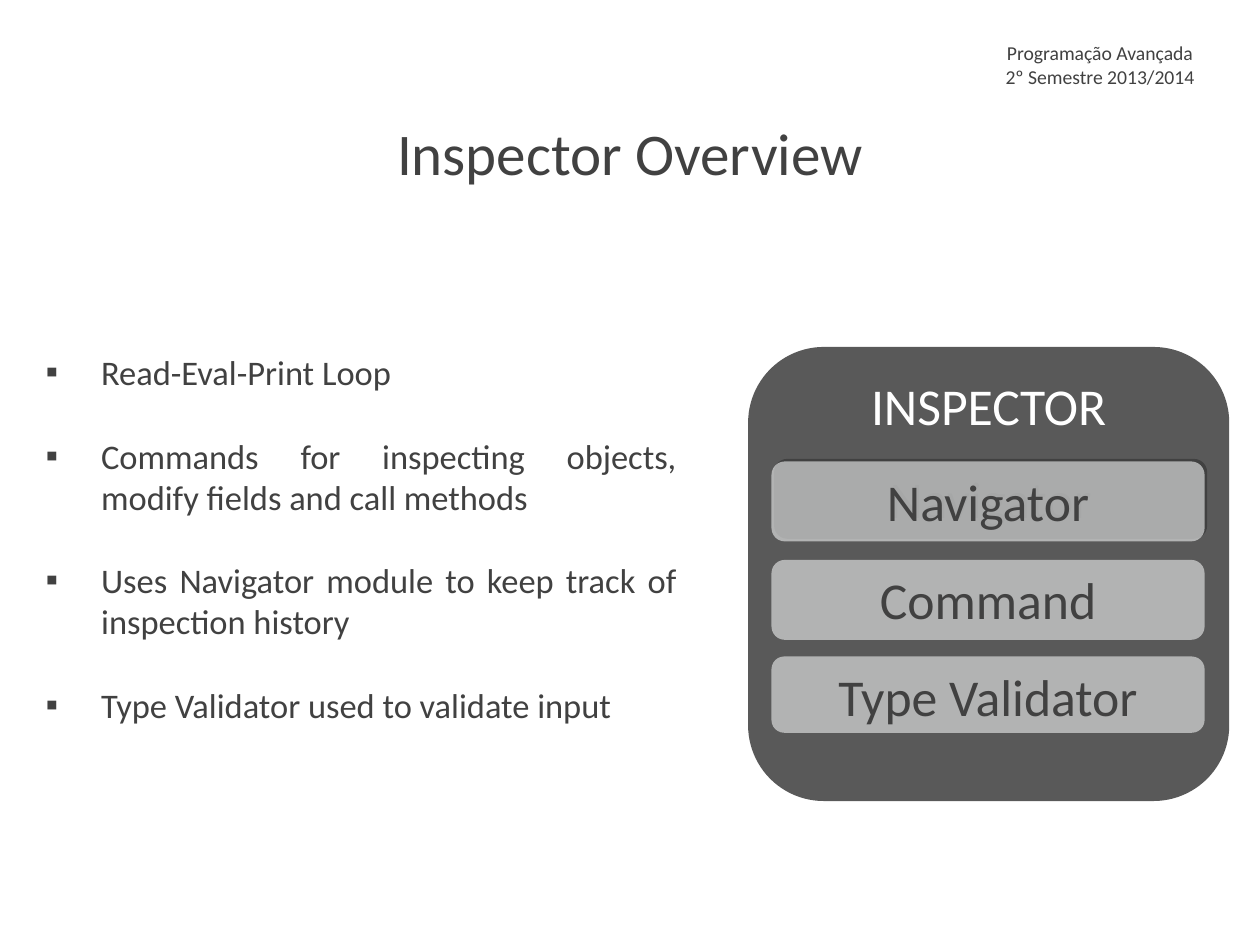
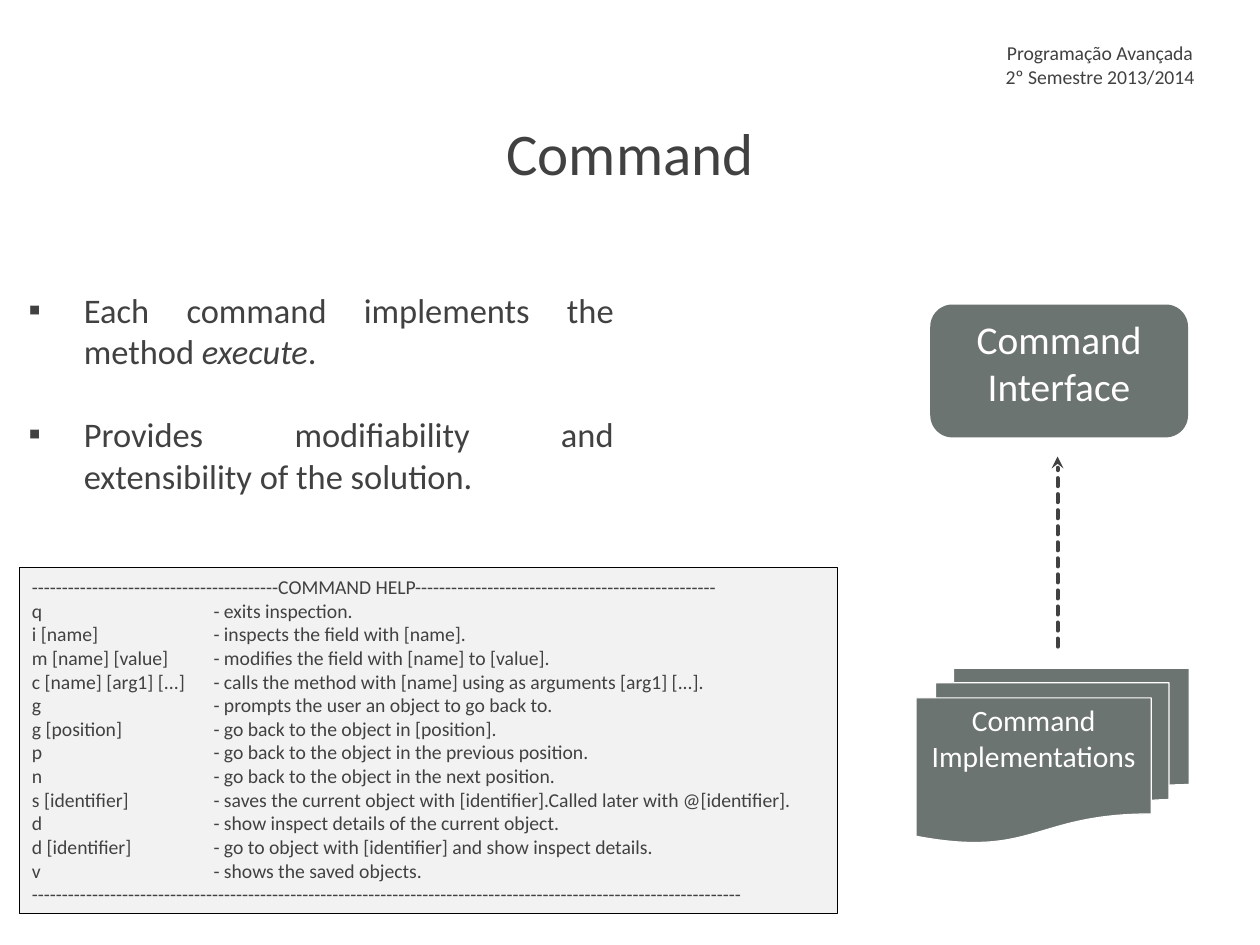
from dataclasses import dataclass
from typing import Any, NamedTuple

from lxml.etree import SubElement as Sub
from pptx import Presentation
from pptx.dml.color import RGBColor as Rgb
from pptx.enum.dml import MSO_LINE as Dash
from pptx.enum.shapes import MSO_CONNECTOR as Conn, MSO_SHAPE as Kind
from pptx.enum.text import MSO_ANCHOR as Anchor, MSO_AUTO_SIZE as Auto, PP_ALIGN as Align
from pptx.oxml.ns import qn
from pptx.util import Pt

FONT = "Calibri"
INK, WHITE, BLACK = "414141", "FFFFFF", "000000"
PANEL, CARD, SLATE, PALE = "595959", "E1E3E3", "6C7472", "F2F2F2"
WIDE, HIGH = 1024, 768
HEAD = ("Programação Avançada", "2º Semestre 2013/2014")


class Box(NamedTuple):
    x: float
    y: float
    w: float
    h: float


class Bit(NamedTuple):
    text: str
    slant: bool = False


@dataclass(frozen=True)
class Tile:
    text: str
    box: Box
    fill: str
    ink: str
    size: float
    kind: Any = Kind.ROUNDED_RECTANGLE
    edge: str = ""
    clear: int = 0
    shade: bool = False


HELP = (
    ("q", "exits inspection."),
    ("i [name]", "inspects the field with [name]."),
    ("m [name] [value]", "modifies the field with [name] to [value]."),
    ("c [name] [arg1] [...]",
     "calls the method with [name] using as arguments [arg1] [...]."),
    ("g", "prompts the user an object to go back to."),
    ("g [position]", "go back to the object in [position]."),
    ("p", "go back to the object in the previous position."),
    ("n", "go back to the object in the next position."),
    ("s [identifier]",
     "saves the current object with [identifier].Called later with @[identifier]."),
    ("d", "show inspect details of the current object."),
    ("d [identifier]", "go to object with [identifier] and show inspect details."),
    ("v", "shows the saved objects."),
)


def paint(part: Any, tone: str) -> None:
    """Give a fill or a line's fill one solid colour."""
    part.solid()
    part.fore_color.rgb = Rgb.from_string(tone)


def place(shape: Any, box: Box) -> None:
    shape.left, shape.top, shape.width, shape.height = map(Pt, box)


def frame(shape: Any, anchor: Any, side: float = 7.2, top: float = 3.6) -> Any:
    """Set up a shape's text frame and return it."""
    text = shape.text_frame
    text.word_wrap = True
    text.auto_size = Auto.NONE
    text.vertical_anchor = anchor
    text.margin_left = text.margin_right = Pt(side)
    text.margin_top = text.margin_bottom = Pt(top)
    return text


def line(text: Any, first: bool, align: Any) -> Any:
    para = text.paragraphs[0] if first else text.add_paragraph()
    para.alignment = align
    return para


def write(para: Any, words: str, size: float, ink: str = INK, slant: bool = False) -> None:
    run = para.add_run()
    run.text = words
    run.font.name = FONT
    run.font.size = Pt(size)
    run.font.color.rgb = Rgb.from_string(ink)
    if slant:
        run.font.italic = True


def start(deck: Any, title: str) -> Any:
    """Add a slide with its title and the course header."""
    slide = deck.slides.add_slide(deck.slide_layouts[1])
    place(slide.shapes.title, Box(0, 92, WIDE, 64))
    text = frame(slide.shapes.title, Anchor.BOTTOM, 4, 4)
    write(line(text, True, Align.CENTER), title, 48)
    head = slide.shapes.add_textbox(*map(Pt, Box(794, 24, 200, 51.5)))
    text = frame(head, Anchor.BOTTOM, 4, 4)
    for i, words in enumerate(HEAD):
        write(line(text, i == 0, Align.CENTER), words, 16)
    return slide


def points(slide: Any, box: Box, items: list[list[Bit]]) -> None:
    """Fill the body placeholder with square-bulleted items."""
    body = slide.placeholders[1]
    place(body, box)
    text = frame(body, Anchor.TOP)
    for i, bits in enumerate(items):
        para = line(text, i == 0, Align.JUSTIFY)
        prop = para._p.get_or_add_pPr()
        prop.set("marL", str(Pt(45)))
        prop.set("indent", str(Pt(-45)))
        Sub(prop, qn("a:buFont")).set("typeface", FONT)
        Sub(prop, qn("a:buChar")).set("char", "▪")
        para.space_before = Pt(34 if i else 0)
        for bit in bits:
            write(para, bit.text, 28, slant=bit.slant)


def draw(shapes: Any, tile: Tile) -> Any:
    shape = shapes.add_shape(tile.kind, *map(Pt, tile.box))
    shape.shadow.inherit = False
    paint(shape.fill, tile.fill)
    if tile.clear:
        tone = shape.fill._xPr.find(qn("a:solidFill"))[0]
        Sub(tone, qn("a:alpha")).set("val", str(tile.clear * 1000))
    if tile.edge:
        paint(shape.line.fill, tile.edge)
        shape.line.width = Pt(1)
    else:
        shape.line.fill.background()
    if tile.shade:
        cast(shape)
    text = frame(shape, Anchor.TOP)
    if tile.text:
        write(line(text, True, Align.CENTER), tile.text, tile.size, tile.ink)
    return shape


def cast(shape: Any) -> None:
    """Add a hard, faint shadow up and to the right."""
    drop = Sub(shape._element.spPr.find(qn("a:effectLst")), qn("a:outerShdw"))
    for key, val in (("blurRad", 0), ("dist", Pt(3)), ("dir", 315 * 60000)):
        drop.set(key, str(val))
    drop.set("rotWithShape", "0")
    tone = Sub(drop, qn("a:srgbClr"))
    tone.set("val", BLACK)
    Sub(tone, qn("a:alpha")).set("val", "40000")


def arrow(slide: Any, x: float, low: float, top: float) -> None:
    link = slide.shapes.add_connector(Conn.STRAIGHT, Pt(x), Pt(low), Pt(x), Pt(top))
    paint(link.line.fill, INK)
    link.line.width = Pt(3.25)
    link.line.dash_style = Dash.SQUARE_DOT
    edge = link.line._get_or_add_ln()
    edge.set("cap", "rnd")
    Sub(edge, qn("a:tailEnd")).set("type", "stealth")
    Sub(link._element.spPr, qn("a:effectLst"))


def usage(slide: Any) -> None:
    """Draw the command help panel, its meanings set on a tab stop."""
    panel = draw(slide.shapes, Tile("", Box(16, 461, 665, 281.5), PALE, INK, 16,
                                    Kind.RECTANGLE, BLACK))
    panel.line.width = Pt(0.75)
    text = frame(panel, Anchor.TOP, 10, 6.3)
    rows = [f"{key}\t- {note}" for key, note in HELP]
    rule = "-" * 41 + "COMMAND HELP" + "-" * 50
    for i, words in enumerate([rule, *rows, "-" * 118]):
        para = line(text, i == 0, Align.LEFT)
        stop = Sub(Sub(para._p.get_or_add_pPr(), qn("a:tabLst")), qn("a:tab"))
        stop.set("pos", str(Pt(147.6)))
        stop.set("algn", "l")
        write(para, words, 16)


def overview(deck: Any) -> None:
    slide = start(deck, "Inspector Overview")
    points(slide, Box(30, 282, 527, 344), [
        [Bit("Read-Eval-Print Loop")],
        [Bit("Commands for inspecting objects, modify fields and call methods")],
        [Bit("Uses Navigator module to keep track of inspection history")],
        [Bit("Type Validator used to validate input")],
    ])
    group = slide.shapes.add_group_shape().shapes
    draw(group, Tile("INSPECTOR", Box(608, 282, 391, 369), PANEL, WHITE, 42))
    for name, y, h in (("Navigator", 375, 65), ("Command", 455, 65),
                       ("Type Validator", 533.5, 62)):
        draw(group, Tile(name, Box(627, y, 352, h), CARD, INK, 42,
                         clear=66, shade=name == "Navigator"))


def command(deck: Any) -> None:
    slide = start(deck, "Command")
    points(slide, Box(16, 231, 490, 224), [
        [Bit("Each command implements the method "), Bit("execute", True), Bit(".")],
        [Bit("Provides modifiability and extensibility of the solution.")],
    ])
    usage(slide)
    draw(slide.shapes, Tile("Command Implementations", Box(744.5, 543, 222, 142),
                            SLATE, WHITE, 24, Kind.FLOWCHART_MULTIDOCUMENT, WHITE))
    draw(slide.shapes, Tile("Command Interface", Box(756, 247.5, 209.5, 108),
                            SLATE, WHITE, 32))
    arrow(slide, 859.5, 525.5, 371)


def main() -> None:
    deck = Presentation()
    deck.slide_width, deck.slide_height = Pt(WIDE), Pt(HIGH)
    overview(deck)
    command(deck)
    deck.save("out.pptx")


if __name__ == "__main__":
    main()
